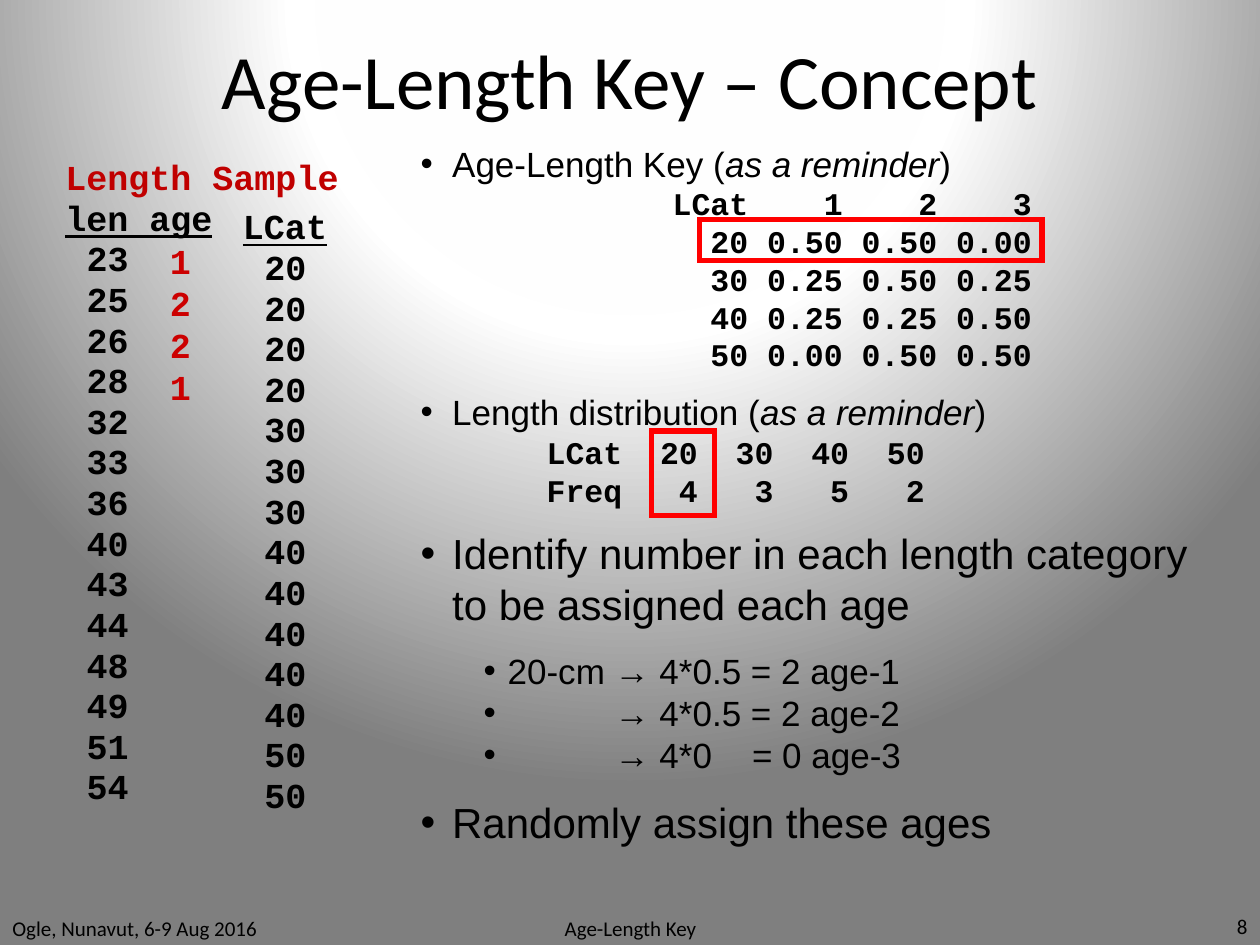
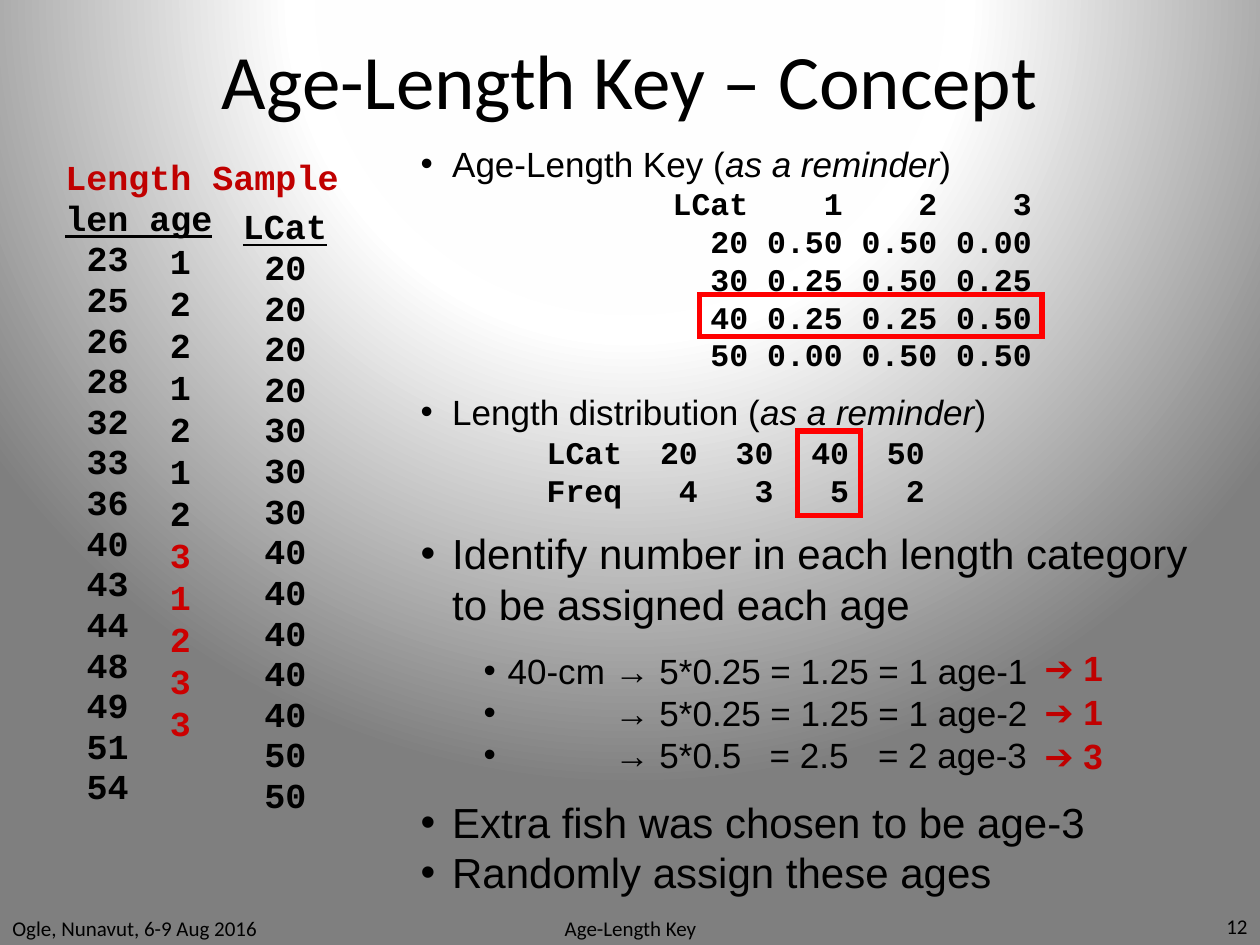
import pptx
import pptx.dml.color
import pptx.enum.shapes
import pptx.enum.text
import pptx.oxml
import pptx.oxml.ns
import pptx.util

WIDTH, HEIGHT = 10, 7.5
BLACK, CRIMSON, RED, FRAME_RED = "000000", "C00000", "CC0000", "FF0000"
SANS, MONO, HEADING = "Arial", "Courier New", "Calibri"
ALIGN = pptx.enum.text.PP_ALIGN
MIDDLE = pptx.enum.text.MSO_ANCHOR.MIDDLE
SAMPLE_CHARACTER = 0.17

LENGTHS = [23, 25, 26, 28, 32, 33, 36, 40, 43, 44, 48, 49, 51, 54]
AGE_KEY = [
    ("LCat", "1", "2", "3"),
    ("20", "0.50", "0.50", "0.00"),
    ("30", "0.25", "0.50", "0.25"),
    ("40", "0.25", "0.25", "0.50"),
    ("50", "0.00", "0.50", "0.50"),
]
FREQUENCIES = [("LCat", "20", "30", "40", "50"), ("Freq", "4", "3", "5", "2")]

CONCEPTS = [
    {
        "number": 8,
        "category": 0,
        "known_ages": [],
        "new_ages": [1, 2, 2, 1],
        "tabs": [1.54, 2.63],
        "sums": ["20-cm\t→ 4*0.5 = 2 age-1", "\t→ 4*0.5 = 2 age-2", "\t→ 4*0\t= 0 age-3"],
        "final_counts": [],
        "closing": ["Randomly assign these ages"],
    },
    {
        "number": 12,
        "category": 2,
        "known_ages": [1, 2, 2, 1, 2, 1, 2],
        "new_ages": [3, 1, 2, 3, 3],
        "tabs": [1.54, 2.77, 3.63],
        "sums": ["40-cm\t→ 5*0.25 = 1.25 = 1 age-1", "\t→ 5*0.25 = 1.25 = 1 age-2",
                 "\t→ 5*0.5\t= 2.5\t= 2 age-3"],
        "final_counts": [1, 1, 3],
        "closing": ["Extra fish was chosen to be age-3", "Randomly assign these ages"],
    },
]


def colour(hex_code):
    """Turn a hex string into a colour."""
    return pptx.dml.color.RGBColor.from_string(hex_code)


def inches(*lengths):
    """Convert lengths in inches."""
    return [pptx.util.Inches(length) for length in lengths]


def add_frame(slide, left, top, width, height, wrap=True, anchor=None):
    """Add an empty text box and return its text frame."""
    frame = slide.shapes.add_textbox(*inches(left, top, width, height)).text_frame
    frame.word_wrap = wrap
    if anchor is not None:
        frame.vertical_anchor = anchor
    return frame


def add_line(frame, text, size, font=SANS, ink=BLACK, bold=False, italic=False,
             underline=False, align=None, before=0, spacing=None):
    """Add a paragraph of one run, using the empty first paragraph if there is one."""
    first = frame.paragraphs[0]
    line = frame.add_paragraph() if first.runs else first
    line.alignment = align
    line.space_before = pptx.util.Pt(before)
    if spacing:
        line.line_spacing = spacing
    add_run(line, text, size, font, ink, bold, italic, underline)
    return line


def add_run(line, text, size, font=SANS, ink=BLACK, bold=False, italic=False, underline=False):
    """Add one formatted run to a paragraph."""
    run = line.add_run()
    run.text = text
    run.font.size = pptx.util.Pt(size)
    run.font.name = font
    run.font.color.rgb = colour(ink)
    run.font.bold, run.font.italic, run.font.underline = bold, italic, underline


def indent(line, margin, hanging=0, bullet=False):
    """Set the left margin, the hanging indent and the bullet of a paragraph."""
    properties = line._p.get_or_add_pPr()
    properties.set("marL", str(pptx.util.Inches(margin)))
    properties.set("indent", str(-pptx.util.Inches(hanging)))
    if bullet:
        namespace = pptx.oxml.ns.nsdecls("a")
        for mark in (f'<a:buFont {namespace} typeface="Arial"/>', f'<a:buChar {namespace} char="•"/>'):
            properties.append(pptx.oxml.parse_xml(mark))


def set_tabs(line, stops):
    """Give a paragraph left tab stops at the given inches."""
    marks = "".join(f'<a:tab pos="{pptx.util.Inches(stop)}" algn="l"/>' for stop in stops)
    line._p.get_or_add_pPr().append(
        pptx.oxml.parse_xml(f'<a:tabLst {pptx.oxml.ns.nsdecls("a")}>{marks}</a:tabLst>'))


def add_bullet(frame, text, size, before=0):
    """Add a first-level bullet."""
    line = add_line(frame, text, size, before=before)
    indent(line, 0.25, 0.25, bullet=True)
    return line


def add_reminder(frame, topic, rows, margin, column, before=0):
    """Add a reminder bullet with fixed-width rows, each figure right-aligned in its column."""
    heading = add_bullet(frame, f"{topic} (", 20, before)
    add_run(heading, "as a reminder", 20, italic=True)
    add_run(heading, ")", 20)
    for category, *figures in rows:
        text = category.rjust(4) + "".join(figure.rjust(column) for figure in figures)
        indent(add_line(frame, text, 18, MONO, bold=True), margin)


def add_highlight(slide, left, top, width, height):
    """Add a red outline with sharp corners around figures."""
    box = slide.shapes.add_shape(pptx.enum.shapes.MSO_SHAPE.RECTANGLE, *inches(left, top, width, height))
    box.shadow.inherit = False
    box.fill.background()
    box.line.color.rgb = colour(FRAME_RED)
    box.line.width = pptx.util.Pt(3)
    box.line._get_or_add_ln().append(
        pptx.oxml.parse_xml(f'<a:miter {pptx.oxml.ns.nsdecls("a")} lim="800000"/>'))


def add_sample_line(frame, text, ink=BLACK, underline=False, margin=0):
    """Add one line of a column of the length sample."""
    line = add_line(frame, text, 20, MONO, ink, bold=True, underline=underline, before=4, spacing=0.8)
    indent(line, margin)


def add_sample(slide, known_ages, new_ages):
    """Add the length sample with its ages and length categories."""
    lengths = add_frame(slide, 0.42, 1.25, 2.67, 5.5)
    add_sample_line(lengths, "Length Sample", CRIMSON)
    add_sample_line(lengths, "len age", underline=True)
    categories = add_frame(slide, 1.83, 1.64, 0.92, 5.11)
    add_sample_line(categories, "LCat", underline=True)
    for length in LENGTHS:
        add_sample_line(lengths, str(length), margin=SAMPLE_CHARACTER)
        add_sample_line(categories, str(length // 10 * 10), margin=SAMPLE_CHARACTER)
    for row, age in enumerate(known_ages + new_ages):
        ink = BLACK if row < len(known_ages) else RED
        add_line(add_frame(slide, 1.25, 1.85 + row / 3, 0.37, 0.43, wrap=False),
                 str(age), 20, MONO, ink, bold=True)


def add_explanation(slide, concept):
    """Add the reminders, the sums and the closing points."""
    closing = concept["closing"]
    frame = add_frame(slide, 3.24, 1.08, 6.51, 5.34 + 0.4 * len(closing))
    add_reminder(frame, "Age-Length Key", AGE_KEY, margin=2, column=5)
    add_reminder(frame, "Length distribution", FREQUENCIES, margin=1, column=4, before=10)
    add_bullet(frame, "Identify number in each length category to be assigned each age", 24, 11)
    for row, text in enumerate(concept["sums"]):
        line = add_line(frame, text, 20, before=0 if row else 12)
        indent(line, 0.69, 0.19, bullet=True)
        set_tabs(line, concept["tabs"])
    for row, text in enumerate(closing):
        add_bullet(frame, text, 24, 0 if row else 12)
    for row, count in enumerate(concept["final_counts"]):
        add_line(add_frame(slide, 8.19, 5.08 + 0.35 * row, 0.73, 0.43, wrap=False),
                 f"➔ {count}", 20, ink=CRIMSON, bold=True)


def add_title_and_footer(slide, number):
    """Add the title, the footer texts and the slide number."""
    texts = [
        ("Age-Length Key – Concept", 44, ALIGN.CENTER, (0.5, 0, 9, 1.25)),
        ("Ogle, Nunavut, 6-9 Aug 2016", 12, ALIGN.LEFT, (0, 7.23, 2.33, 0.27)),
        ("Age-Length Key", 12, ALIGN.CENTER, (3.42, 7.23, 3.17, 0.27)),
        (str(number), 12, ALIGN.RIGHT, (7.67, 7.2, 2.33, 0.3)),
    ]
    for text, size, align, place in texts:
        add_line(add_frame(slide, *place, anchor=MIDDLE), text, size, HEADING, align=align)


def set_background(master):
    """Give all slides a round gradient from white to grey."""
    master.background.fill.gradient()
    gradient = master.element.find(".//" + pptx.oxml.ns.qn("a:gradFill"))
    stops = "".join(f'<a:gs pos="{share * 1000}"><a:srgbClr val="{ink}"/></a:gs>'
                    for share, ink in ((0, "FEFEFE"), (40, "FEFEFE"), (43, "FFFFFF"), (100, "7F7F7F")))
    gradient.getparent().replace(gradient, pptx.oxml.parse_xml(
        f'<a:gradFill {pptx.oxml.ns.nsdecls("a")} rotWithShape="1"><a:gsLst>{stops}</a:gsLst>'
        '<a:path path="circle"><a:fillToRect l="50000" t="-80000" r="50000" b="180000"/></a:path>'
        '</a:gradFill>'))


def main():
    """Build both slides."""
    deck = pptx.Presentation()
    deck.slide_width, deck.slide_height = inches(WIDTH, HEIGHT)
    set_background(deck.slide_master)
    for concept in CONCEPTS:
        slide = deck.slides.add_slide(deck.slide_layouts[6])
        add_title_and_footer(slide, concept["number"])
        add_sample(slide, concept["known_ages"], concept["new_ages"])
        add_explanation(slide, concept)
        category = concept["category"]
        add_highlight(slide, 5.55, 1.74 + 0.3 * category, 2.72, 0.33)
        add_highlight(slide, 5.17 + 0.58 * category, 3.42, 0.5, 0.67)
    deck.save("out.pptx")


main()
